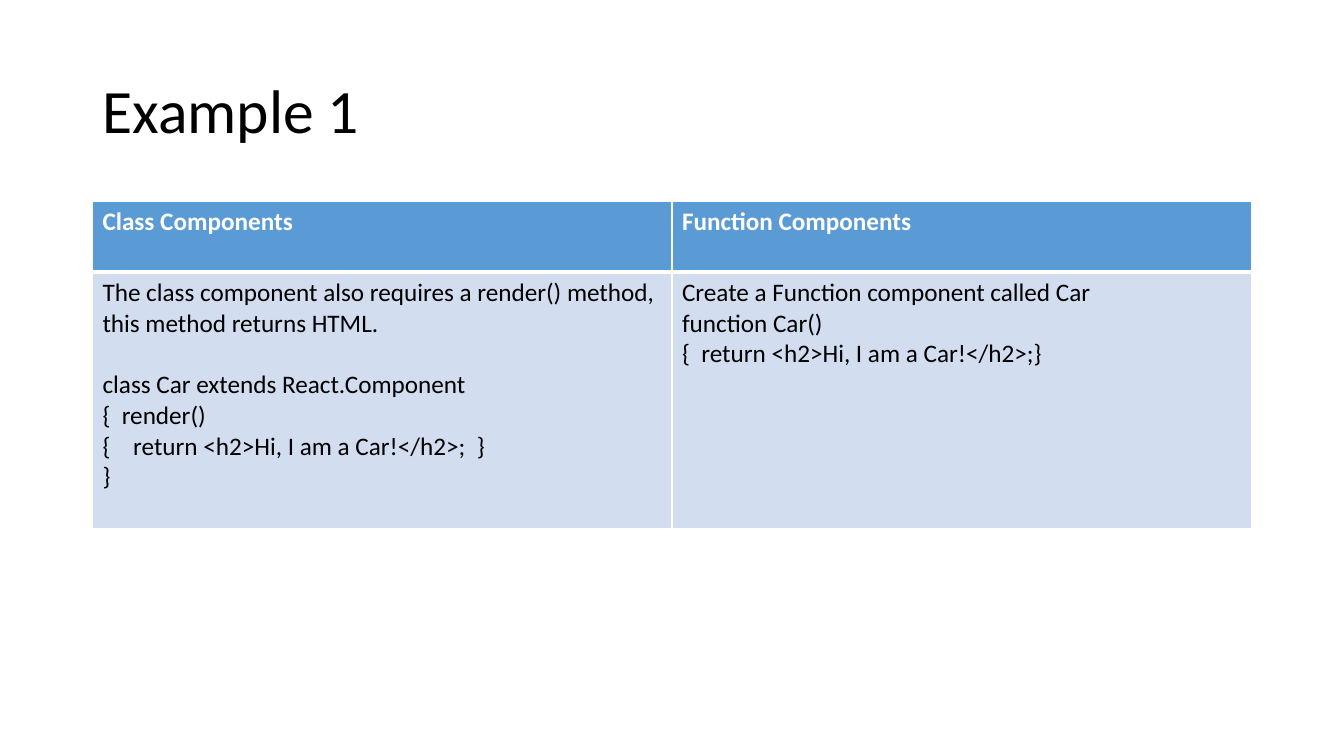
from pptx import Presentation
from pptx.dml.color import RGBColor
from pptx.enum.text import MSO_ANCHOR, PP_ALIGN
from pptx.oxml import parse_xml
from pptx.oxml.ns import nsdecls
from pptx.util import Cm, Pt

LEFT, WIDTH = Cm(2.33), Cm(29.21)
WHITE, BLACK = "FFFFFF", "000000"
HEADER_BLUE, BODY_BLUE = "5B9BD5", "D2DEEF"
THIN, THICK = 1, 3

# Each column: heading, then its (line, space before in points) entries
COLUMNS = [
    ("Class Components", [
        ("The class component also requires a render() method, this method returns HTML.", 0),
        ("class Car extends React.Component", 22),
        ("{  render()", 0),
        ("{    return <h2>Hi, I am a Car!</h2>;  }", 0),
        ("}", 0),
    ]),
    ("Function Components", [
        ("Create a Function component called Car", 0),
        ("function Car()", 0),
        ("{  return <h2>Hi, I am a Car!</h2>;}", 0),
    ]),
]


def colour(hex_string):
    return RGBColor.from_string(hex_string)


def write(paragraph, text, size=18, color=BLACK, bold=False, before=0, line_spacing=1.0):
    paragraph.alignment = PP_ALIGN.LEFT
    paragraph.space_before = Pt(before)
    paragraph.line_spacing = line_spacing
    run = paragraph.add_run()
    run.text = text
    run.font.name = "Calibri"
    run.font.size = Pt(size)
    run.font.bold = bold
    run.font.color.rgb = colour(color)


def set_borders(cell, **widths):
    """Draw white borders; widths are points keyed by L, R, T and B."""
    properties = cell._tc.get_or_add_tcPr()
    for position, (side, width) in enumerate(widths.items()):
        properties.insert(position, parse_xml(
            f'<a:ln{side} {nsdecls("a")} w="{Pt(width)}"><a:solidFill>'
            f'<a:srgbClr val="{WHITE}"/></a:solidFill></a:ln{side}>'))


def fill_cell(cell, lines, fill, top, bottom, **text_format):
    cell.fill.solid()
    cell.fill.fore_color.rgb = colour(fill)
    set_borders(cell, L=THIN, R=THIN, T=top, B=bottom)
    frame = cell.text_frame
    for index, (line, before) in enumerate(lines):
        paragraph = frame.add_paragraph() if index else frame.paragraphs[0]
        write(paragraph, line, before=before, **text_format)


def add_title(slide, text):
    title = slide.shapes.title
    title.left, title.top, title.width, title.height = LEFT, Cm(1.01), WIDTH, Cm(3.68)
    title.text_frame.vertical_anchor = MSO_ANCHOR.MIDDLE
    write(title.text_frame.paragraphs[0], text, size=44, line_spacing=0.9)


def add_comparison(slide):
    header_height, body_height = Cm(1.78), Cm(6.45)
    comparison = slide.shapes.add_table(
        2, len(COLUMNS), LEFT, Cm(5.08), WIDTH, header_height + body_height).table
    comparison.horz_banding = False
    comparison.rows[0].height = header_height
    comparison.rows[1].height = body_height
    for index, (heading, body) in enumerate(COLUMNS):
        fill_cell(comparison.cell(0, index), [(heading, 0)], HEADER_BLUE,
                  THIN, THICK, color=WHITE, bold=True)
        fill_cell(comparison.cell(1, index), body, BODY_BLUE, THICK, THIN)


def main():
    presentation = Presentation()
    presentation.slide_width, presentation.slide_height = Cm(33.87), Cm(19.05)
    # Title Only layout
    slide = presentation.slides.add_slide(presentation.slide_layouts[5])
    add_title(slide, "Example 1")
    add_comparison(slide)
    presentation.save("out.pptx")


if __name__ == "__main__":
    main()
